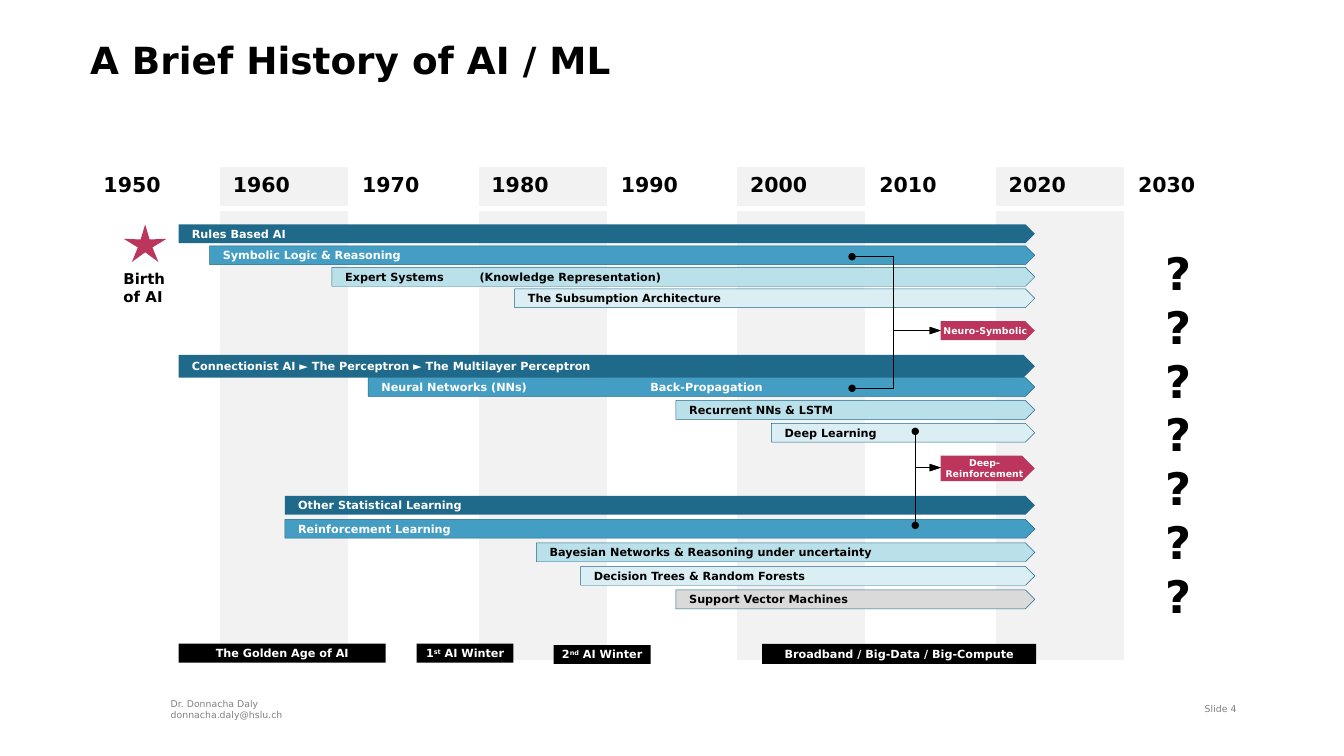
from pptx import Presentation
from pptx.dml.color import RGBColor
from pptx.enum import shapes, text
from pptx.oxml import ns, xmlchemy
from pptx.util import Inches, Pt

FONT = "DejaVu Sans"
BLACK, WHITE, GREY, BAND = "000000", "FFFFFF", "808080", "F2F2F2"
TEAL, CRIMSON = "1F6A8A", "BB355D"
TODAY = 7.7  # right end of every timeline bar
BAR_HEIGHT = 0.14

TITLE = "A Brief History of AI / ML"
AUTHOR = "Dr. Donnacha Daly\ndonnacha.daly@hslu.ch"
DECADES = [str(year) for year in range(1950, 2040, 10)]
# fill, outline, text colour of each level within a school of AI
LEVELS = [(TEAL, None, WHITE), ("449DC2", TEAL, WHITE), ("BAE0EA", TEAL, BLACK),
          ("DBEEF3", TEAL, BLACK), ("DADADA", TEAL, BLACK)]
# top of first bar, top of last bar, height of first bar, tab stop,
# (left, label) of each bar
SCHOOLS = [
    (1.67, 2.15, 0.14, 1, [
        (1.33, "Rules Based AI"),
        (1.56, "Symbolic Logic & Reasoning"),
        (2.47, "Expert Systems\t(Knowledge Representation)"),
        (3.83, "The Subsumption Architecture")]),
    (2.64, 3.15, 0.17, 2, [
        (1.33, "Connectionist AI ► The Perceptron ► The Multilayer Perceptron"),
        (2.74, "Neural Networks (NNs)\tBack-Propagation"),
        (5.03, "Recurrent NNs & LSTM"),
        (5.74, "Deep Learning")]),
    (3.69, 4.39, 0.14, 1, [
        (2.12, "Other Statistical Learning"),
        (2.12, "Reinforcement Learning"),
        (3.99, "Bayesian Networks & Reasoning under uncertainty"),
        (4.32, "Decision Trees & Random Forests"),
        (5.03, "Support Vector Machines")]),
]
# left, top, height, label
HYBRIDS = [(7, 2.39, 0.14, "Neuro-Symbolic"), (7, 3.39, 0.19, "Deep-Reinforcement")]
# left, top, width, height, label parts (the second part is raised)
ERAS = [
    (1.33, 4.79, 1.54, 0.14, ["The Golden Age of AI"]),
    (3.1, 4.79, 0.72, 0.14, ["1", "st", " AI Winter"]),
    (4.12, 4.8, 0.72, 0.14, ["2", "nd", " AI Winter"]),
    (5.67, 4.79, 2.04, 0.15, ["Broadband / Big-Data / Big-Compute"]),
]
# start, end, share of the width at which the line turns
MERGERS = [((6.34, 2.89), (7, 2.46), 0.46), ((6.34, 1.91), (7, 2.46), 0.46),
           ((6.81, 3.91), (7, 3.48), 0), ((6.81, 3.21), (7, 3.48), 0)]


def rgb(value):
    return RGBColor.from_string(value)


def add_xml(parent, tag, **attributes):
    child = xmlchemy.OxmlElement(tag)
    for name, value in attributes.items():
        child.set(name, str(value))
    parent.append(child)
    return child


def style(frame, size, color, bold=True, align=text.PP_ALIGN.LEFT):
    """Format every run of a text frame."""
    for paragraph in frame.paragraphs:
        paragraph.alignment = align
        for run in paragraph.runs:
            font = run.font
            font.name, font.size, font.bold = FONT, Pt(size), bold
            font.color.rgb = rgb(color)


def set_insets(box, side, end):
    box.margin_left = box.margin_right = Inches(side)
    box.margin_top = box.margin_bottom = Inches(end)


def fill_with(part, color):
    part.fill.solid()
    part.fill.fore_color.rgb = rgb(color)


def add_shape(slide, kind, box, fill, outline=None):
    shape = slide.shapes.add_shape(kind, *map(Inches, box))
    shape.shadow.inherit = False
    fill_with(shape, fill)
    if outline:
        shape.line.color.rgb = rgb(outline)
        shape.line.width = Pt(0.25)
    else:
        shape.line.fill.background()
    return shape


def add_bar(slide, box, parts, fill, color, outline=None, size=6, centred=False, tab=None):
    bar = add_shape(slide, shapes.MSO_SHAPE.PENTAGON, box, fill, outline)
    frame = bar.text_frame
    frame.word_wrap = True
    frame.vertical_anchor = text.MSO_ANCHOR.MIDDLE
    if centred:
        set_insets(frame, 0, 0)
    paragraph = frame.paragraphs[0]
    if tab:
        stops = add_xml(paragraph._p.get_or_add_pPr(), "a:tabLst")
        add_xml(stops, "a:tab", pos=Inches(tab), algn="l")
    for index, part in enumerate(parts):
        run = paragraph.add_run()
        run.text = part
        if index == 1:
            run._r.get_or_add_rPr().set("baseline", "30000")
    align = text.PP_ALIGN.CENTER if centred else text.PP_ALIGN.LEFT
    style(frame, size, color, align=align)
    return bar


def add_label(slide, box, lines, size, color, wrap=False, **options):
    frame = slide.shapes.add_textbox(*map(Inches, box)).text_frame
    frame.word_wrap = wrap
    frame.text = "\n".join(lines)
    style(frame, size, color, **options)


def add_table(slide, box, heights, columns):
    left, top, width = map(Inches, box)
    table = slide.shapes.add_table(len(heights), columns, left, top, width,
                                   Inches(sum(heights))).table
    table.first_row = table.horz_banding = False
    for row, height in zip(table.rows, heights):
        row.height = Inches(height)
    return table


def add_decades(slide):
    table = add_table(slide, (0.67, 1.24, 8.66), (0.31, 3.37), len(DECADES))
    for column, decade in enumerate(DECADES):
        table.cell(0, column).text = decade
        for row, thick_side in enumerate(("a:lnB", "a:lnT")):
            cell = table.cell(row, column)
            properties = cell._tc.get_or_add_tcPr()
            for side in ("a:lnL", "a:lnR", "a:lnT", "a:lnB"):
                border = add_xml(properties, side, w=Pt(3 if side == thick_side else 1))
                add_xml(add_xml(border, "a:solidFill"), "a:srgbClr", val=WHITE)
            fill_with(cell, BAND if column % 2 else WHITE)
            style(cell.text_frame, 11, BLACK)


def add_footer(slide):
    table = add_table(slide, (1.2, 5.16, 7.97), (0.17,), 3)
    table.cell(0, 0).text = AUTHOR
    for cell in table.iter_cells():
        set_insets(cell, 0.07, 0.04)
        fill_with(cell, WHITE)
        style(cell.text_frame, 5, GREY, bold=False)
        if not cell.text:
            add_xml(cell.text_frame.paragraphs[0]._p, "a:endParaRPr", sz=500)


def add_merger(slide, start, end, turn):
    line = slide.shapes.add_connector(shapes.MSO_CONNECTOR.ELBOW,
                                      *map(Inches, start + end))
    line.line.color.rgb = rgb(BLACK)
    line.line.width = Pt(0.25)
    properties = line._element.spPr
    guides = properties.find(ns.qn("a:prstGeom")).get_or_add_avLst()
    add_xml(guides, "a:gd", name="adj1", fmla=f"val {round(turn * 100000)}")
    outline = properties.find(ns.qn("a:ln"))
    add_xml(outline, "a:headEnd", type="oval", w="sm", len="sm")
    add_xml(outline, "a:tailEnd", type="triangle", w="sm", len="med")
    add_xml(properties, "a:effectLst")


def main():
    deck = Presentation()
    deck.slide_width, deck.slide_height = Inches(10), Inches(10 * 9 / 16)
    slide = deck.slides.add_slide(deck.slide_layouts[5])

    title = slide.shapes.title
    title.left, title.top, title.width, title.height = map(
        Inches, (0.67, 0.14, 8.66, 0.47))
    frame = title.text_frame
    frame.text = TITLE
    frame.auto_size = text.MSO_AUTO_SIZE.NONE
    frame.vertical_anchor = text.MSO_ANCHOR.BOTTOM
    set_insets(frame, 0, 0)
    style(frame, 20, BLACK)

    add_footer(slide)
    add_label(slide, (8.78, 5.18, 0.52, 0.19), ["Slide 4"], 5, GREY, bold=False,
              align=text.PP_ALIGN.RIGHT)
    add_decades(slide)
    for first, last, first_height, tab, bars in SCHOOLS:
        pitch = (last - first) / (len(bars) - 1)
        for level, (left, label) in enumerate(bars):
            fill, outline, color = LEVELS[level]
            height = BAR_HEIGHT if level else first_height
            box = (left, first + level * pitch, TODAY - left, height)
            add_bar(slide, box, [label], fill, color, outline,
                    tab=tab if "\t" in label else None)
    for left, top, height, label in HYBRIDS:
        add_bar(slide, (left, top, TODAY - left, height), [label], CRIMSON, WHITE,
                size=5, centred=True)
    for *box, parts in ERAS:
        era = add_bar(slide, box, parts, BLACK, WHITE, centred=True)
        era.adjustments[0] = 0
    for merger in MERGERS:
        add_merger(slide, *merger)

    star = add_shape(slide, shapes.MSO_SHAPE.STAR_5_POINT, (0.92, 1.67, 0.32, 0.28), CRIMSON)
    star.adjustments[0] = 0.17
    add_label(slide, (0.82, 1.96, 0.51, 0.37), ["Birth", "of AI"], 8, BLACK, wrap=True)
    add_label(slide, (8.57, 1.78, 0.41, 2.93), ["?"] * 7, 24, BLACK)
    deck.save("out.pptx")


if __name__ == "__main__":
    main()
